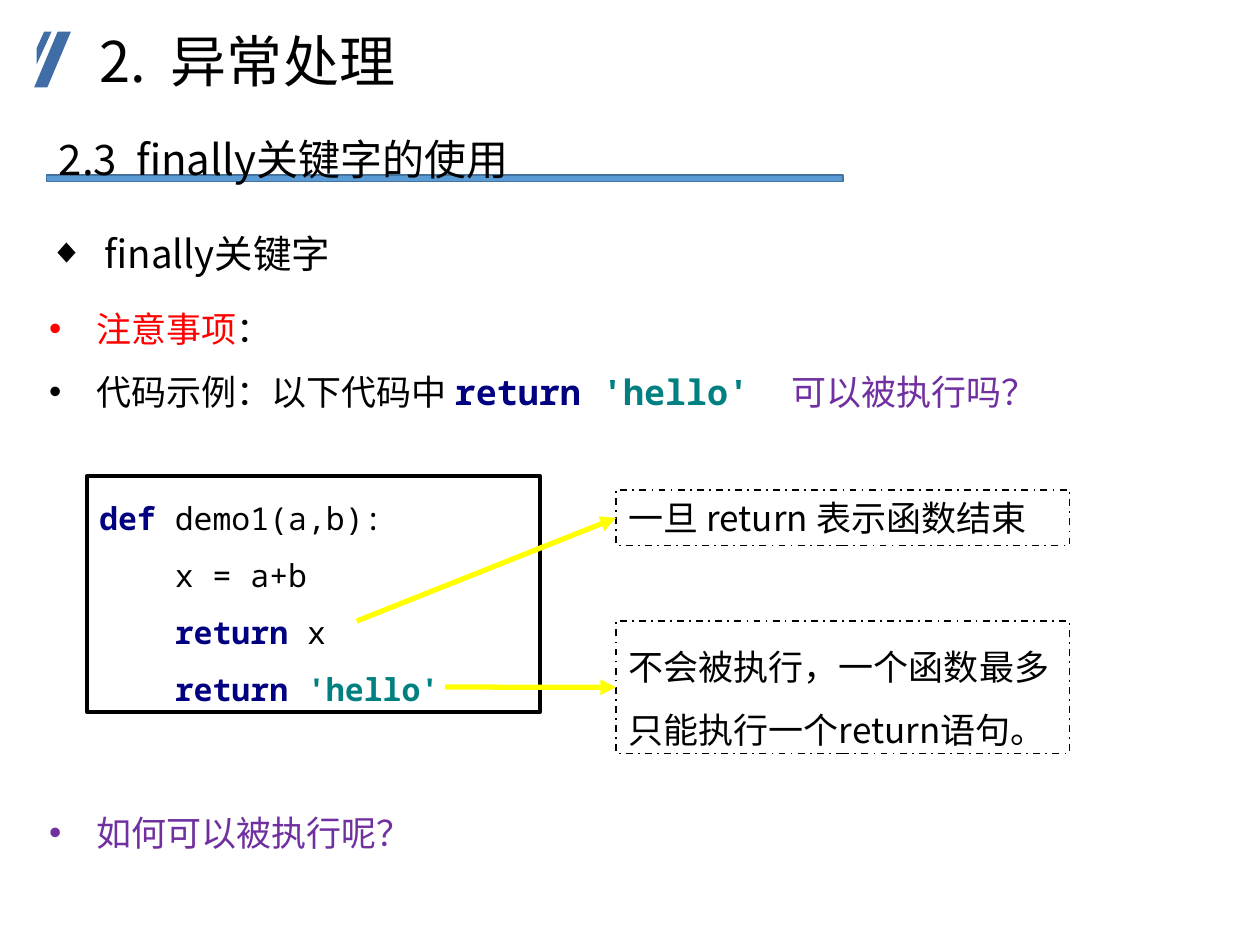
from lxml.etree import SubElement
from pptx import Presentation
from pptx.dml.color import RGBColor
from pptx.enum.dml import MSO_LINE
from pptx.enum.shapes import MSO_CONNECTOR, MSO_SHAPE
from pptx.enum.text import MSO_ANCHOR, PP_ALIGN
from pptx.oxml.ns import qn
from pptx.util import Cm, Pt

BLACK = RGBColor(0x00, 0x00, 0x00)
WHITE = RGBColor(0xFF, 0xFF, 0xFF)
RED = RGBColor(0xFF, 0x00, 0x00)
PURPLE = RGBColor(0x70, 0x30, 0xA0)
NAVY = RGBColor(0x00, 0x00, 0x80)
TEAL = RGBColor(0x00, 0x80, 0x80)
YELLOW = RGBColor(0xFF, 0xFF, 0x00)
MARK_BLUE = RGBColor(0x40, 0x6D, 0xA5)
BAR_BLUE = RGBColor(0x5B, 0x9B, 0xD5)
BAR_EDGE = RGBColor(0x43, 0x73, 0x9E)

SANS = "Noto Sans CJK SC"
MONO = "Noto Sans Mono"
KEYWORD = dict(color=NAVY, bold=True, font=MONO)
STRING = dict(color=TEAL, bold=True, font=MONO)
CODE = dict(font=MONO)

TITLE = "2.  异常处理"
SUBTITLE = "2.3  finally关键字的使用"
BULLETS = [
    ([(" finally关键字", {})], dict(size=22, bullet="◆", bullet_size=90, after=6)),
    ([("注意事项", dict(color=RED)), ("：", {})], {}),
    ([("代码示例：以下代码中 ", {}), ("return ", KEYWORD), ("'hello'  ", STRING),
      ("可以被执行吗？", dict(color=PURPLE))], {}),
    ([("如何可以被执行呢？", dict(color=PURPLE))], dict(before=216)),
]
CODE_LINES = [
    [("def ", KEYWORD), ("demo1(a,b):", CODE)],
    [("    x = a+b", CODE)],
    [("    ", CODE), ("return ", KEYWORD), ("x", CODE)],
    [("    ", CODE), ("return ", KEYWORD), ("'hello'", STRING)],
]
NOTES = [
    ("一旦 return 表示函数结束", 9.88, 1.12, 1.0, (7.19, 12.52)),
    ("不会被执行，一个函数最多只能执行一个return语句。", 12.52, 2.67, 1.5, (8.97, 13.85)),
]
NOTE_LEFT, NOTE_WIDTH = 12.42, 9.14


def add_text(shape, runs, size=20, spacing=1.5, bullet=None, bullet_size=100,
             before=0, after=0, align=PP_ALIGN.LEFT):
    frame = shape.text_frame
    frame.word_wrap = True
    paragraph = frame.paragraphs[0]
    if paragraph.runs:
        paragraph = frame.add_paragraph()
    paragraph.alignment = align
    paragraph.line_spacing = spacing
    paragraph.space_before, paragraph.space_after = Pt(before), Pt(after)
    if bullet:
        properties = paragraph._p.get_or_add_pPr()
        properties.set("marL", str(Cm(0.95)))
        properties.set("indent", str(-Cm(0.95)))
        SubElement(properties, qn("a:buSzPct")).set("val", str(bullet_size * 1000))
        SubElement(properties, qn("a:buFont")).set("typeface", "Arial")
        SubElement(properties, qn("a:buChar")).set("char", bullet)
    for text, style in runs:
        run = paragraph.add_run()
        run.text = text
        font = run.font
        font.size = Pt(size)
        font.bold = style.get("bold", False)
        font.name = style.get("font", SANS)
        font.color.rgb = style.get("color", BLACK)
        SubElement(run._r.get_or_add_rPr(), qn("a:ea")).set("typeface", SANS)


def add_box(slide, kind, position, fill, line=None, width=1, dash=None):
    shape = slide.shapes.add_shape(kind, *map(Cm, position))
    shape.shadow.inherit = False
    shape.fill.solid()
    shape.fill.fore_color.rgb = fill
    if line is None:
        shape.line.fill.background()
    else:
        shape.line.color.rgb = line
        shape.line.width = Pt(width)
        if dash:
            shape.line.dash_style = dash
    return shape


def add_text_box(slide, position, anchor=MSO_ANCHOR.TOP):
    shape = slide.shapes.add_textbox(*map(Cm, position))
    shape.text_frame.vertical_anchor = anchor
    return shape


def add_arrow(slide, start, note):
    arrow = slide.shapes.add_connector(
        MSO_CONNECTOR.STRAIGHT, *map(Cm, start), note.left, note.top + note.height // 2)
    arrow.end_connect(note, 1)
    arrow.line.color.rgb = YELLOW
    arrow.line.width = Pt(3)
    SubElement(arrow.line._get_or_add_ln(), qn("a:tailEnd")).set("type", "triangle")
    SubElement(arrow._element.spPr, qn("a:effectLst"))


def main():
    presentation = Presentation()
    presentation.slide_width, presentation.slide_height = Cm(25.4), Cm(19.05)
    slide = presentation.slides.add_slide(presentation.slide_layouts[6])

    mark = add_box(slide, MSO_SHAPE.PARALLELOGRAM, (0.69, 0.64, 0.74, 1.12), MARK_BLUE)
    mark.adjustments[0] = 0.64
    add_box(slide, MSO_SHAPE.DIAGONAL_STRIPE, (0.74, 0.64, 0.3, 0.66), MARK_BLUE)
    title = add_text_box(slide, (1.75, 0.53, 19.05, 1.5), MSO_ANCHOR.BOTTOM)
    add_text(title, [(TITLE, {})], size=32, spacing=0.9)

    add_box(slide, MSO_SHAPE.RECTANGLE, (0.94, 3.53, 16.05, 0.13), BAR_BLUE, BAR_EDGE)
    subtitle = add_text_box(slide, (0.94, 2.06, 15.72, 1.63))
    add_text(subtitle, [(SUBTITLE, {})], size=24)

    body = add_text_box(slide, (0.74, 4.04, 23.62, 13.26))
    for runs, style in BULLETS:
        add_text(body, runs, **{"bullet": "•", **style})

    code = add_box(slide, MSO_SHAPE.RECTANGLE, (1.75, 9.6, 9.14, 4.75), WHITE, BLACK, 2.25)
    for runs in CODE_LINES:
        add_text(code, runs, size=18)

    notes = []
    for text, top, height, spacing, start in NOTES:
        note = add_box(slide, MSO_SHAPE.RECTANGLE, (NOTE_LEFT, top, NOTE_WIDTH, height),
                       WHITE, BLACK, dash=MSO_LINE.DASH_DOT)
        add_text(note, [(text, {})], spacing=spacing)
        notes.append((start, note))
    for start, note in notes:
        add_arrow(slide, start, note)

    presentation.save("out.pptx")


if __name__ == "__main__":
    main()
